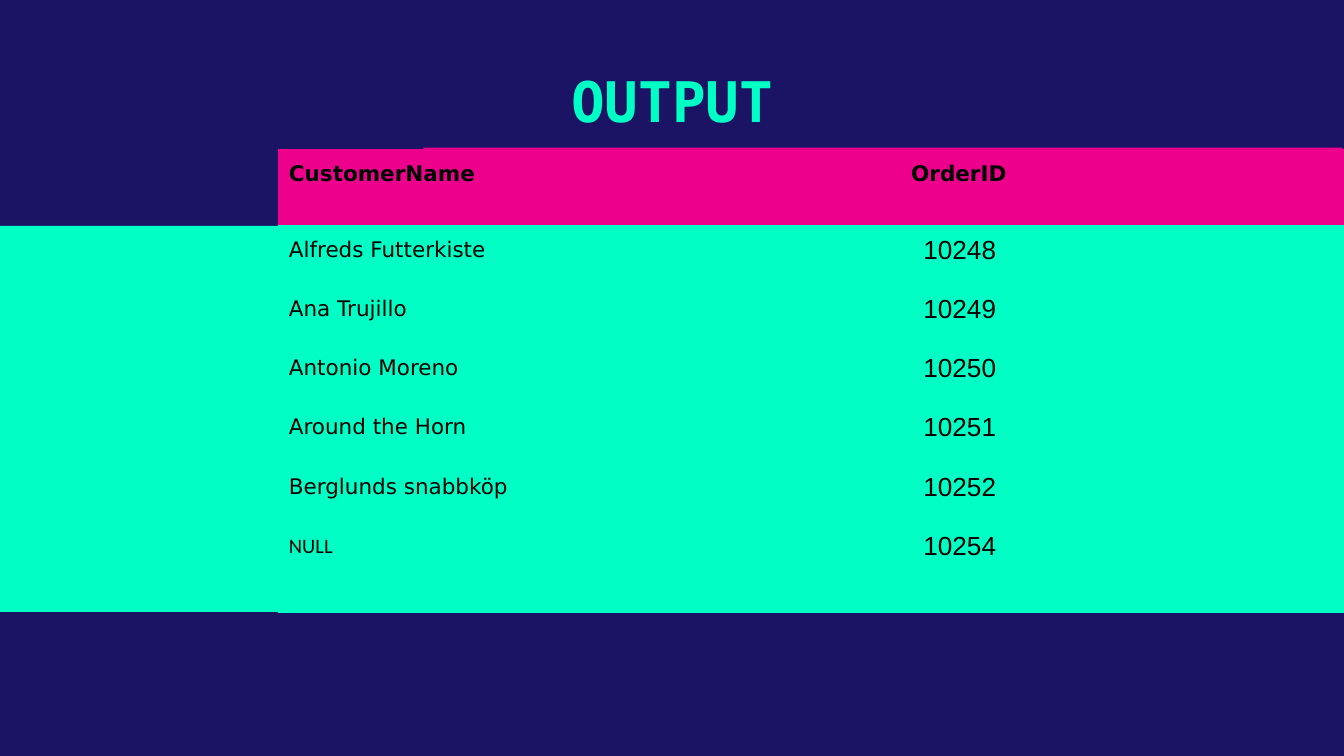
from dataclasses import dataclass

from pptx import Presentation
from pptx.dml.color import RGBColor
from pptx.enum.shapes import MSO_SHAPE
from pptx.enum.text import MSO_ANCHOR, PP_ALIGN
from pptx.util import Cm, Pt


@dataclass(frozen=True)
class Theme:
    navy: RGBColor = RGBColor(0x1B, 0x14, 0x64)
    mint: RGBColor = RGBColor(0x00, 0xFF, 0xC5)
    pink: RGBColor = RGBColor(0xEC, 0x00, 0x8C)
    black: RGBColor = RGBColor(0, 0, 0)
    title: tuple = ("DejaVu Sans Mono", 30)
    name: tuple = ("DejaVu Sans", 11.5)
    null: tuple = ("Calibri", 11)
    number: tuple = ("Arial", 14)


THEME = Theme()
NO_STYLE_NO_GRID = "{2D5ABB26-0587-4C30-8999-92F81FD0307C}"
HEADER = ("CustomerName", "OrderID")
ORDERS = [
    ("Alfreds Futterkiste", "10248"),
    ("Ana Trujillo", "10249"),
    ("Antonio Moreno", "10250"),
    ("Around the Horn", "10251"),
    ("Berglunds snabbköp", "10252"),
    ("NULL", "10254"),
]
COLUMN_WIDTHS = (4.22, 11.76, 8.38)
ROW_HEIGHTS = (1.43, *[1.12] * 5, 1.73)


def set_font(paragraph, typeface, color, bold=False):
    font = paragraph.font
    font.name, font.size = typeface[0], Pt(typeface[1])
    font.bold = bold
    font.color.rgb = color


def add_band(slide, box, color):
    band = slide.shapes.add_shape(MSO_SHAPE.RECTANGLE, *map(Cm, box))
    band.shadow.inherit = False
    band.fill.solid()
    band.fill.fore_color.rgb = color
    band.line.fill.background()


def place_title(slide, box, text):
    title = slide.shapes.title
    title.left, title.top, title.width, title.height = map(Cm, box)
    frame = title.text_frame
    frame.text = text
    frame.vertical_anchor = MSO_ANCHOR.MIDDLE
    frame.margin_left = frame.margin_right = Cm(0.25)
    frame.margin_top = frame.margin_bottom = Cm(0.25)
    paragraph = frame.paragraphs[0]
    paragraph.alignment = PP_ALIGN.CENTER
    set_font(paragraph, THEME.title, THEME.mint, bold=True)


def fill_cell(cell, text, typeface, color, bold=False, left_margin=0.2, spacing=1.07):
    cell.text = text
    cell.fill.solid()
    cell.fill.fore_color.rgb = color
    cell.margin_left = Cm(left_margin)
    cell.margin_right = cell.margin_top = cell.margin_bottom = Cm(0.2)
    paragraph = cell.text_frame.paragraphs[0]
    paragraph.line_spacing = spacing
    set_font(paragraph, typeface, THEME.black, bold)


def add_orders_table(slide, box):
    """Place the orders; the first column stays empty and clear."""
    graphic_frame = slide.shapes.add_table(
        len(ROW_HEIGHTS), len(COLUMN_WIDTHS), *map(Cm, box))
    table = graphic_frame.table
    table.first_row = table.horz_banding = False
    graphic_frame.element.xpath(".//a:tableStyleId")[0].text = NO_STYLE_NO_GRID
    for column, width in zip(table.columns, COLUMN_WIDTHS):
        column.width = Cm(width)
    for index, (row, height) in enumerate(zip(table.rows, ROW_HEIGHTS)):
        row.height = Cm(height)
        table.cell(index, 0).fill.background()

    for column, heading in enumerate(HEADER, start=1):
        fill_cell(table.cell(0, column), heading, THEME.name, THEME.pink, bold=True)
    for row, (customer, order) in enumerate(ORDERS, start=1):
        typeface = THEME.null if customer == "NULL" else THEME.name
        fill_cell(table.cell(row, 1), customer, typeface, THEME.mint)
        fill_cell(table.cell(row, 2), order, THEME.number, THEME.mint,
                  left_margin=0.43, spacing=1.0)


def main():
    presentation = Presentation()
    presentation.slide_width, presentation.slide_height = Cm(25.4), Cm(14.29)
    slide = presentation.slides.add_slide(presentation.slide_layouts[5])
    slide.background.fill.solid()
    slide.background.fill.fore_color.rgb = THEME.navy

    add_band(slide, (0, 4.27, 25.4, 7.3), THEME.mint)
    add_band(slide, (8, 2.79, 17.37, 2.69), THEME.pink)
    place_title(slide, (3.56, 0.97, 18.29, 1.85), "OUTPUT")
    add_orders_table(slide, (1.04, 2.82, sum(COLUMN_WIDTHS), sum(ROW_HEIGHTS)))
    presentation.save("out.pptx")


if __name__ == "__main__":
    main()
